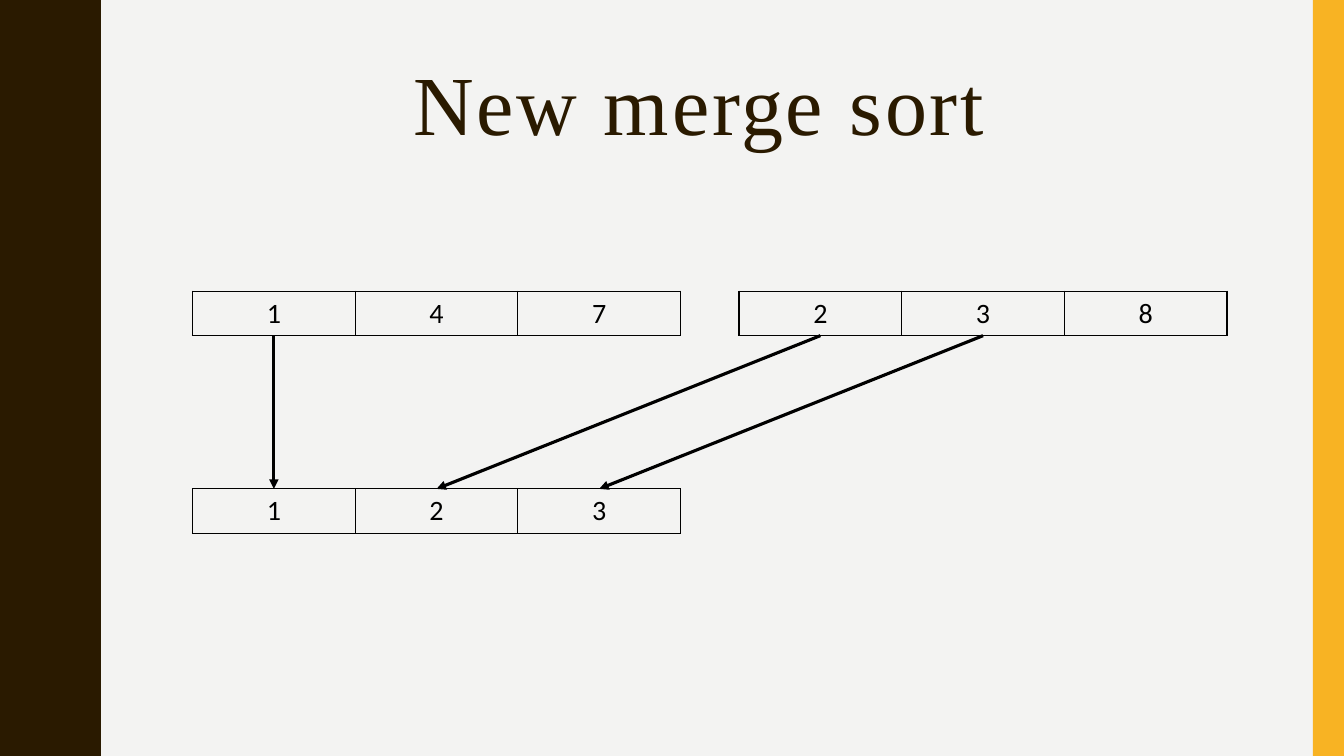
import pptx
import pptx.util
import pptx.dml.color
import pptx.enum.shapes
import pptx.enum.text
import pptx.oxml
from pptx.oxml.ns import nsdecls

Inches, Pt = pptx.util.Inches, pptx.util.Pt
RGB = pptx.dml.color.RGBColor.from_string
SHAPE = pptx.enum.shapes.MSO_SHAPE
CENTER = pptx.enum.text.PP_ALIGN.CENTER
MIDDLE = pptx.enum.text.MSO_ANCHOR.MIDDLE

THEME = {
    "paper": RGB("F3F3F2"), "brown": RGB("2A1A00"),
    "gold": RGB("F8B323"), "ink": RGB("000000"),
    "title_font": "Times New Roman", "title_size": Pt(60),
    "cell_font": "Calibri", "cell_size": Pt(20),
    "arrow_width": Pt(2.25), "border_width": Pt(1),
}
WIDTH, HEIGHT = 13.33, 7.5

# Grid of the arrays: three columns each, one row high
COLUMN, ROW = 4.84 / 3, 0.44
LEFT_X, RIGHT_X = 1.91, 7.33
SOURCE_Y, MERGED_Y = 2.89, 4.85

presentation = pptx.Presentation()
presentation.slide_width, presentation.slide_height = Inches(WIDTH), Inches(HEIGHT)
slide = presentation.slides.add_slide(presentation.slide_layouts[6])
slide.background.fill.solid()
slide.background.fill.fore_color.rgb = THEME["paper"]


def paint(shape, colour):
    shape.shadow.inherit = False
    shape.fill.solid()
    shape.fill.fore_color.rgb = colour
    shape.line.fill.background()


# Wavy left edge: one half wave, mirrored, then repeated down the slide
WAVES = 5
wave_height = HEIGHT / WAVES
half_wave = [(0.78, 0), (0.78, 0.07), (0.79, 0.14), (0.8, 0.2), (0.81, 0.25),
             (0.83, 0.29), (0.85, 0.33), (0.87, 0.38), (0.89, 0.42), (0.91, 0.46),
             (0.93, 0.5), (0.95, 0.55), (0.96, 0.61), (0.97, 0.68), (0.97, 0.75)]
wave = half_wave + [(x, wave_height - y) for x, y in reversed(half_wave[:-1])]
edge = [(x, y + n * wave_height) for n in range(WAVES) for x, y in wave]
outline = slide.shapes.build_freeform(0, 0, scale=Inches(1))
outline.add_line_segments(edge + [(0, HEIGHT)], close=True)
paint(outline.convert_to_shape(), THEME["brown"])

# Gold strip on the right
STRIP = 0.31
gold_strip = slide.shapes.add_shape(
    SHAPE.RECTANGLE, Inches(WIDTH - STRIP), 0, Inches(STRIP), Inches(HEIGHT))
paint(gold_strip, THEME["gold"])

# Title
title = slide.shapes.add_textbox(Inches(1.37), Inches(0.48), Inches(11.13), Inches(1.18))
title.text_frame.word_wrap = True
title.text_frame.vertical_anchor = MIDDLE
heading = title.text_frame.paragraphs[0]
heading.text = "New merge sort"
heading.alignment = CENTER
heading.line_spacing = 0.9
heading.font.name = THEME["title_font"]
heading.font.size = THEME["title_size"]
heading.font.color.rgb = THEME["brown"]
heading.runs[0].font._element.set("spc", "200")

# The two sorted halves and the merged array
arrays = [(LEFT_X, SOURCE_Y, "147"), (RIGHT_X, SOURCE_Y, "238"), (LEFT_X, MERGED_Y, "123")]
for x, y, digits in arrays:
    array = slide.shapes.add_table(
        1, len(digits), Inches(x), Inches(y),
        Inches(COLUMN * len(digits)), Inches(ROW)).table
    array.first_row = array.horz_banding = False
    for cell, digit in zip(array.iter_cells(), digits):
        properties = cell._tc.get_or_add_tcPr()
        for side in "LRTB":
            properties.append(pptx.oxml.parse_xml(
                f'<a:ln{side} {nsdecls("a")} w="{THEME["border_width"]}"><a:solidFill>'
                f'<a:srgbClr val="{THEME["ink"]}"/></a:solidFill></a:ln{side}>'))
        cell.fill.background()
        cell.vertical_anchor = MIDDLE
        number = cell.text_frame.paragraphs[0]
        number.text = digit
        number.alignment = CENTER
        number.font.name = THEME["cell_font"]
        number.font.size = THEME["cell_size"]
        number.font.color.rgb = THEME["ink"]

# Arrows from each source cell to its merged cell
moves = [(LEFT_X, 0, 0), (RIGHT_X, 0, 1), (RIGHT_X, 1, 2)]
for source_x, source_column, merged_column in moves:
    arrow = slide.shapes.add_connector(
        pptx.enum.shapes.MSO_CONNECTOR.STRAIGHT,
        Inches(source_x + (source_column + 0.5) * COLUMN), Inches(SOURCE_Y + ROW),
        Inches(LEFT_X + (merged_column + 0.5) * COLUMN), Inches(MERGED_Y))
    arrow.line.color.rgb = THEME["ink"]
    arrow.line.width = THEME["arrow_width"]
    arrow.line._get_or_add_ln().append(
        pptx.oxml.parse_xml(f'<a:tailEnd {nsdecls("a")} type="triangle"/>'))
    arrow._element.spPr.append(pptx.oxml.parse_xml(f'<a:effectLst {nsdecls("a")}/>'))

presentation.save("out.pptx")
